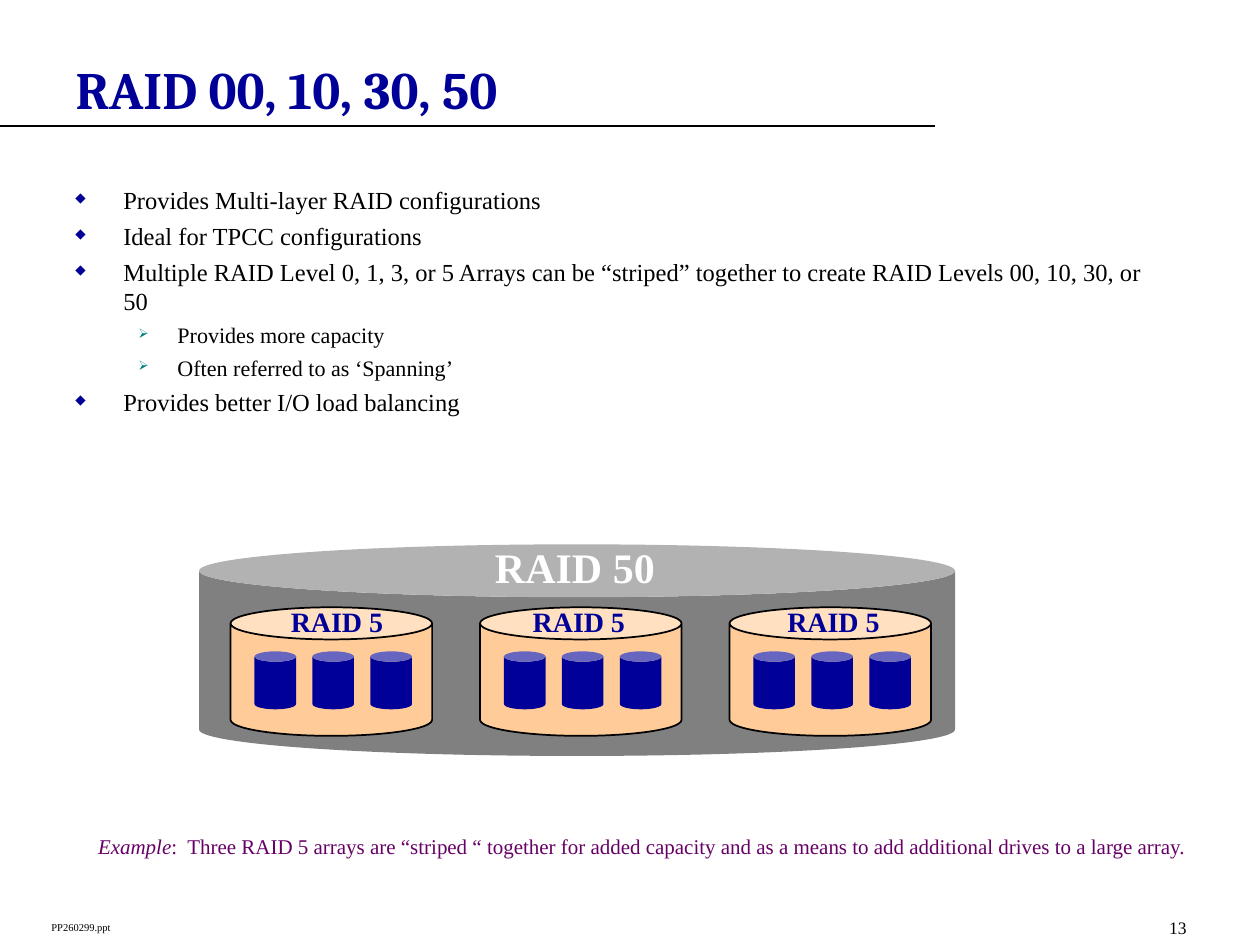
"""Build the slide on multi-layer RAID levels."""
from dataclasses import dataclass

import pptx
import pptx.dml.color
import pptx.enum.shapes
import pptx.enum.text
import pptx.oxml.ns
import pptx.presentation
import pptx.shapes.autoshape
import pptx.slide
import pptx.text.text
import pptx.util
from lxml import etree
from pptx.dml.color import RGBColor
from pptx.util import Inches, Pt

NAVY = RGBColor(0x00, 0x00, 0x99)
BLACK = RGBColor(0x00, 0x00, 0x00)
WHITE = RGBColor(0xFF, 0xFF, 0xFF)
GRAY = RGBColor(0x80, 0x80, 0x80)
PEACH = RGBColor(0xFF, 0xCC, 0x99)
PURPLE = RGBColor(0x66, 0x00, 0x66)
TEAL = RGBColor(0x00, 0x80, 0x80)
SERIF = "Times New Roman"


@dataclass(frozen=True)
class Box:
    left: float
    top: float
    width: float
    height: float

    def lengths(self) -> tuple[pptx.util.Length, ...]:
        return tuple(map(Inches, (self.left, self.top, self.width, self.height)))


@dataclass(frozen=True)
class Label:
    text: str
    box: Box
    size: float
    color: RGBColor
    bold: bool = False
    wrap: bool = False


@dataclass(frozen=True)
class BulletStyle:
    symbol: str
    color: RGBColor
    symbol_percent: int
    margin: float
    hanging: float
    size: float
    space_before: float


POINT = BulletStyle("◆", NAVY, 55, 0.38, 0.38, 14, 3.7)
SUBPOINT = BulletStyle("➢", TEAL, 60, 0.81, 0.31, 12.6, 3.4)
POINTS = (
    ("Provides Multi-layer RAID configurations", POINT),
    ("Ideal for TPCC configurations", POINT),
    ("Multiple RAID Level 0, 1, 3, or 5 Arrays can be “striped” together "
     "to create RAID Levels 00, 10, 30, or 50", POINT),
    ("Provides more capacity", SUBPOINT),
    ("Often referred to as ‘Spanning’", SUBPOINT),
    ("Provides better I/O load balancing", POINT),
)
FOOTERS = (
    Label("13", Box(9.18, 7.23, 0.78, 0.27), 10, BLACK),
    Label("PP260299.ppt", Box(0.31, 7.26, 0.67, 0.2), 6, BLACK),
)
ARRAY_LEFT, ARRAY_PITCH = 1.83, 1.98
DRIVE_INSET, DRIVE_PITCH = 0.19, 0.46
ARRAY_LABEL_LEFTS = (2.21, 4.13, 6.15)


def set_font(paragraph: pptx.text.text._Paragraph, size: float, color: RGBColor,
             bold: bool = False, face: str = SERIF) -> None:
    font = paragraph.font
    font.name, font.size, font.bold = face, Pt(size), bold
    font.color.rgb = color


def add_label(slide: pptx.slide.Slide, label: Label) -> pptx.text.text._Paragraph:
    frame = slide.shapes.add_textbox(*label.box.lengths()).text_frame
    frame.word_wrap = label.wrap
    paragraph = frame.paragraphs[0]
    paragraph.text = label.text
    set_font(paragraph, label.size, label.color, label.bold)
    return paragraph


def add_can(slide: pptx.slide.Slide, box: Box, fill: RGBColor, outlined: bool = False) -> None:
    can = slide.shapes.add_shape(pptx.enum.shapes.MSO_SHAPE.CAN, *box.lengths())
    can.shadow.inherit = False
    can.adjustments[0] = 0.25
    can.fill.solid()
    can.fill.fore_color.rgb = fill
    if outlined:
        can.line.color.rgb = BLACK
        can.line.width = Pt(1)
    else:
        can.line.fill.background()


def add_bullet(paragraph: pptx.text.text._Paragraph, style: BulletStyle) -> None:
    qn = pptx.oxml.ns.qn
    properties = paragraph._p.get_or_add_pPr()
    properties.set("marL", str(Inches(style.margin)))
    properties.set("indent", str(-Inches(style.hanging)))
    color = etree.SubElement(properties, qn("a:buClr"))
    etree.SubElement(color, qn("a:srgbClr"), val=str(style.color))
    etree.SubElement(properties, qn("a:buSzPct"), val=str(style.symbol_percent * 1000))
    etree.SubElement(properties, qn("a:buChar"), char=style.symbol)


def add_heading(slide: pptx.slide.Slide) -> None:
    rule = slide.shapes.add_connector(pptx.enum.shapes.MSO_CONNECTOR.STRAIGHT,
                                      Inches(0), Inches(1), Inches(7.42), Inches(1))
    rule.line.color.rgb = BLACK
    rule.line.width = Pt(1.5)
    etree.SubElement(rule._element.spPr, pptx.oxml.ns.qn("a:effectLst"))

    title = slide.shapes.title
    title.left, title.top, title.width, title.height = Box(0.5, 0.33, 7, 0.67).lengths()
    title.text_frame.text = "RAID 00, 10, 30, 50"
    title.text_frame.vertical_anchor = pptx.enum.text.MSO_ANCHOR.BOTTOM
    title.text_frame.auto_size = pptx.enum.text.MSO_AUTO_SIZE.NONE
    heading = title.text_frame.paragraphs[0]
    heading.alignment = pptx.enum.text.PP_ALIGN.LEFT
    set_font(heading, 30, NAVY, True, "Cambria")


def add_points(slide: pptx.slide.Slide) -> None:
    frame = slide.shapes.add_textbox(*Box(0.5, 1.42, 8.75, 2.08).lengths()).text_frame
    frame.word_wrap = True
    for index, (text, style) in enumerate(POINTS):
        paragraph = frame.add_paragraph() if index else frame.paragraphs[0]
        paragraph.text = text
        paragraph.level = int(style is SUBPOINT)
        add_bullet(paragraph, style)
        if index:
            paragraph.space_before = Pt(style.space_before)
        set_font(paragraph, style.size, BLACK)


def add_array(slide: pptx.slide.Slide, left: float, label_left: float) -> None:
    add_can(slide, Box(left, 4.82, 1.6, 1.02), PEACH, outlined=True)
    for drive in range(3):
        drive_left = left + DRIVE_INSET + drive * DRIVE_PITCH
        add_can(slide, Box(drive_left, 5.17, 0.33, 0.46), NAVY)
    add_label(slide, Label("RAID 5", Box(label_left, 4.75, 0.96, 0.37), 16, NAVY, True, True))


def add_diagram(slide: pptx.slide.Slide) -> None:
    add_can(slide, Box(1.58, 4.32, 6, 1.68), GRAY)
    add_label(slide, Label("RAID 50", Box(3.83, 4.25, 1.67, 0.5), 24, WHITE, True, True))
    for index, label_left in enumerate(ARRAY_LABEL_LEFTS):
        add_array(slide, ARRAY_LEFT + index * ARRAY_PITCH, label_left)


def main() -> None:
    presentation = pptx.Presentation()
    presentation.slide_width, presentation.slide_height = Inches(10), Inches(7.5)
    slide = presentation.slides.add_slide(presentation.slide_layouts[5])
    add_heading(slide)
    for footer in FOOTERS:
        add_label(slide, footer)
    add_points(slide)
    add_diagram(slide)
    example = add_label(slide, Label("Example", Box(0.68, 6.57, 8.9, 0.3), 12, PURPLE))
    example.runs[0].font.italic = True
    example.add_run().text = (
        ":  Three RAID 5 arrays are “striped “ together for added capacity "
        "and as a means to add additional drives to a large array.")
    presentation.save("out.pptx")


if __name__ == "__main__":
    main()
